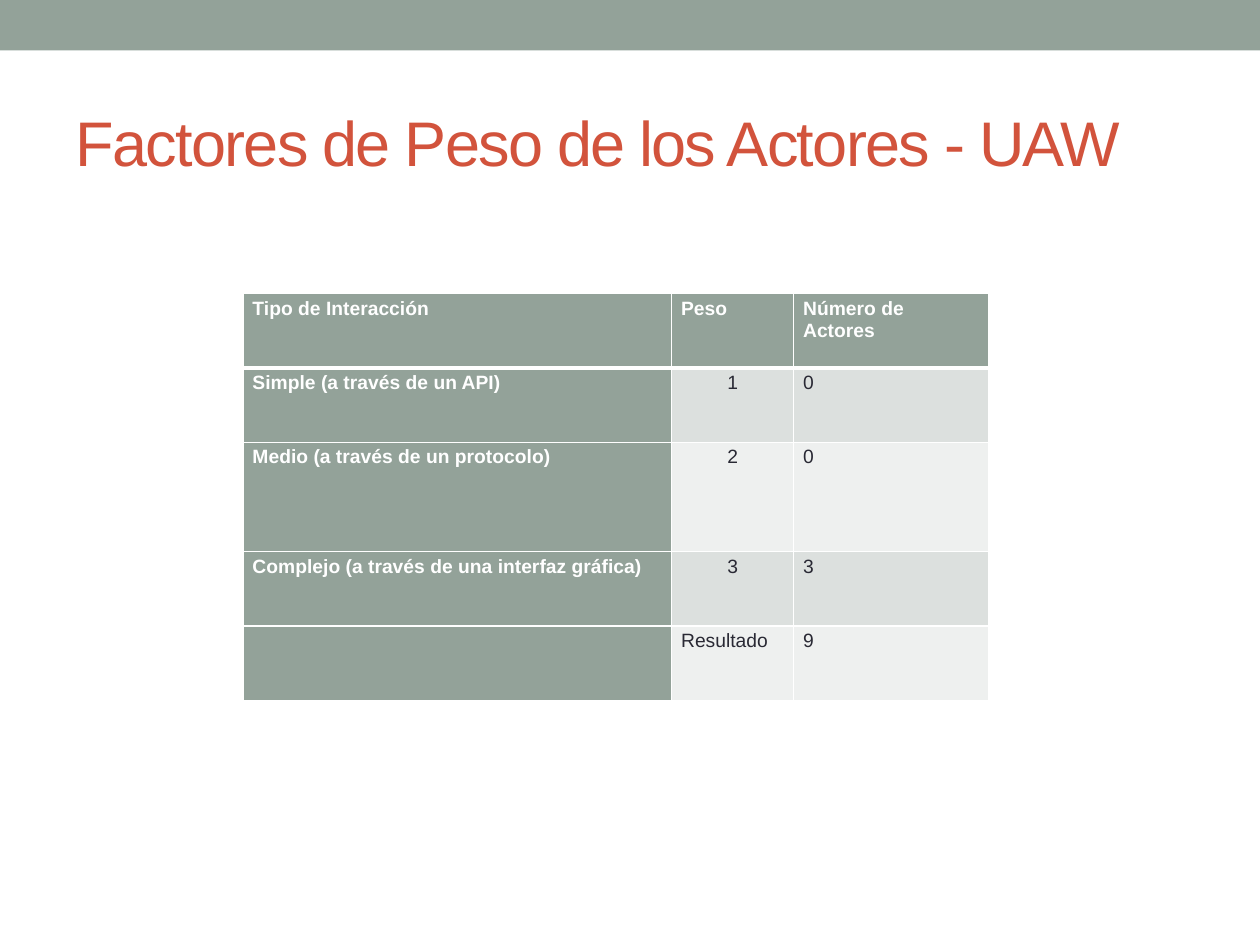
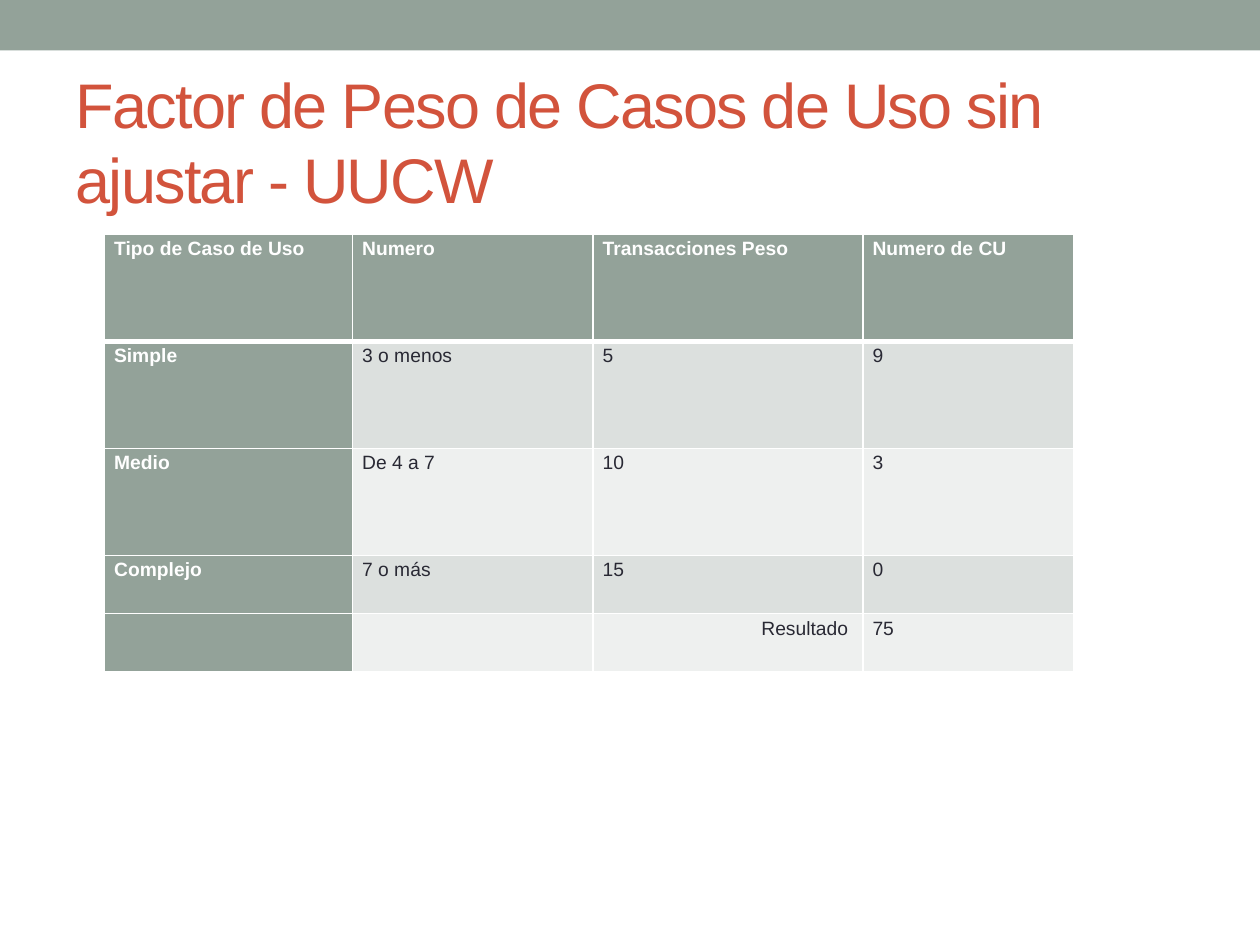
from lxml.etree import SubElement
from pptx import Presentation
from pptx.dml.color import RGBColor
from pptx.enum.shapes import MSO_SHAPE
from pptx.enum.text import MSO_ANCHOR, MSO_AUTO_SIZE, PP_ALIGN
from pptx.oxml.ns import qn
from pptx.util import Cm, Pt

SAGE = RGBColor(0x93, 0xA2, 0x99)
BRICK = RGBColor(0xD2, 0x53, 0x3C)
INK = RGBColor(0x29, 0x29, 0x34)
WHITE = RGBColor(0xFF, 0xFF, 0xFF)
ROW_BANDS = (RGBColor(0xDC, 0xE0, 0xDE), RGBColor(0xEE, 0xF0, 0xEF))
FONT = "Arial"
LETTER_SPACING = "-100"
THIN, THICK = Pt(1), Pt(3)


def style_run(run, size, color, bold=False):
    run.font.name = FONT
    run.font.size = Pt(size)
    run.font.bold = bold
    run.font.color.rgb = color


def add_band(slide, width):
    band = slide.shapes.add_shape(MSO_SHAPE.RECTANGLE, 0, 0, width, Cm(1.02))
    band.shadow.inherit = False
    band.fill.solid()
    band.fill.fore_color.rgb = SAGE
    band.line.fill.background()


def set_title(slide, text):
    title = slide.shapes.title
    title.left, title.top = Cm(1.27), Cm(1.47)
    title.width, title.height = Cm(22.86), Cm(2.74)
    frame = title.text_frame
    frame.text = text
    frame.word_wrap = True
    frame.auto_size = MSO_AUTO_SIZE.NONE
    frame.vertical_anchor = MSO_ANCHOR.MIDDLE
    paragraph = frame.paragraphs[0]
    paragraph.alignment = PP_ALIGN.LEFT
    run = paragraph.runs[0]
    style_run(run, 36, BRICK)
    run._r.get_or_add_rPr().set("spc", LETTER_SPACING)


def add_border(cell, side, width):
    line = SubElement(cell._tc.get_or_add_tcPr(), qn(f"a:{side}"), w=str(width))
    fill = SubElement(line, qn("a:solidFill"))
    SubElement(fill, qn("a:srgbClr"), val=str(WHITE))


def format_cell(cell, text, row, column, alignment):
    heading = row == 0 or column == 0
    cell.margin_left = cell.margin_right = Cm(0.19)
    cell.margin_top = cell.margin_bottom = Cm(0.05)
    add_border(cell, "lnL", THIN)
    add_border(cell, "lnR", THIN)
    add_border(cell, "lnT", THICK if row == 1 else THIN)
    add_border(cell, "lnB", THICK if row == 0 else THIN)
    cell.fill.solid()
    cell.fill.fore_color.rgb = SAGE if heading else ROW_BANDS[(row - 1) % 2]
    cell.text_frame.text = text
    paragraph = cell.text_frame.paragraphs[0]
    paragraph.alignment = alignment
    paragraph.line_spacing = 1.07
    for run in paragraph.runs:
        style_run(run, 11, WHITE if heading else INK, heading)


def add_weights(slide, left, top, widths, heights, rows, alignments):
    table = slide.shapes.add_table(
        len(rows), len(widths), Cm(left), Cm(top), Cm(sum(widths)), Cm(sum(heights))
    ).table
    table.first_col = True
    for column, width in zip(table.columns, widths):
        column.width = Cm(width)
    for table_row, height in zip(table.rows, heights):
        table_row.height = Cm(height)
    for row, texts in enumerate(rows):
        for column, text in enumerate(texts):
            alignment = alignments.get((row, column), PP_ALIGN.LEFT)
            format_cell(table.cell(row, column), text, row, column, alignment)


def add_weight_slide(deck, title, **weights):
    slide = deck.slides.add_slide(deck.slide_layouts[5])
    add_band(slide, deck.slide_width)
    set_title(slide, title)
    add_weights(slide, **weights)


def main():
    deck = Presentation()
    deck.slide_width, deck.slide_height = Cm(25.4), Cm(19.05)

    add_weight_slide(
        deck,
        "Factores de Peso de los Actores - UAW",
        left=4.9,
        top=5.92,
        widths=(8.64, 2.46, 3.94),
        heights=(1.5, 1.5, 2.2, 1.5, 1.5),
        rows=(
            ("Tipo de Interacción", "Peso", "Número de Actores"),
            ("Simple (a través de un API)", "1", "0"),
            ("Medio (a través de un protocolo)", "2", "0"),
            ("Complejo (a través de una interfaz gráfica)", "3", "3"),
            ("", "Resultado", "9"),
        ),
        alignments={(row, 1): PP_ALIGN.CENTER for row in (1, 2, 3)},
    )

    add_weight_slide(
        deck,
        "Factor de Peso de Casos de Uso sin ajustar - UUCW",
        left=2.11,
        top=4.72,
        widths=(5, 4.85, 5.44, 4.24),
        heights=(2.16, 2.16, 2.16, 1.17, 1.17),
        rows=(
            ("Tipo de Caso de Uso", "Numero", "Transacciones Peso", "Numero de CU"),
            ("Simple", "3 o menos", "5", "9"),
            ("Medio", "De 4 a 7", "10", "3"),
            ("Complejo", "7 o más", "15", "0"),
            ("", "", "Resultado ", "75"),
        ),
        alignments={(4, 2): PP_ALIGN.RIGHT},
    )

    deck.save("out.pptx")


if __name__ == "__main__":
    main()
